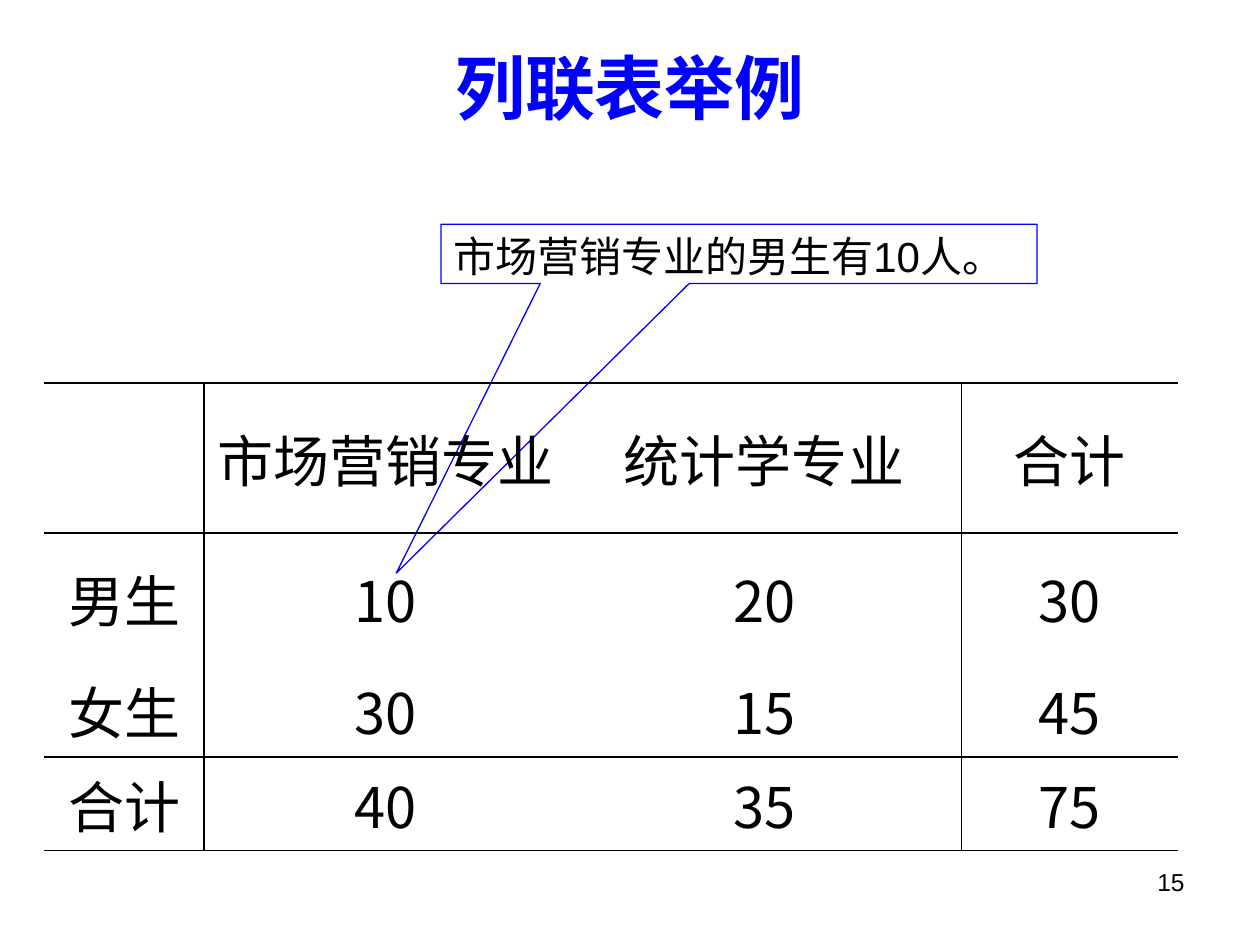
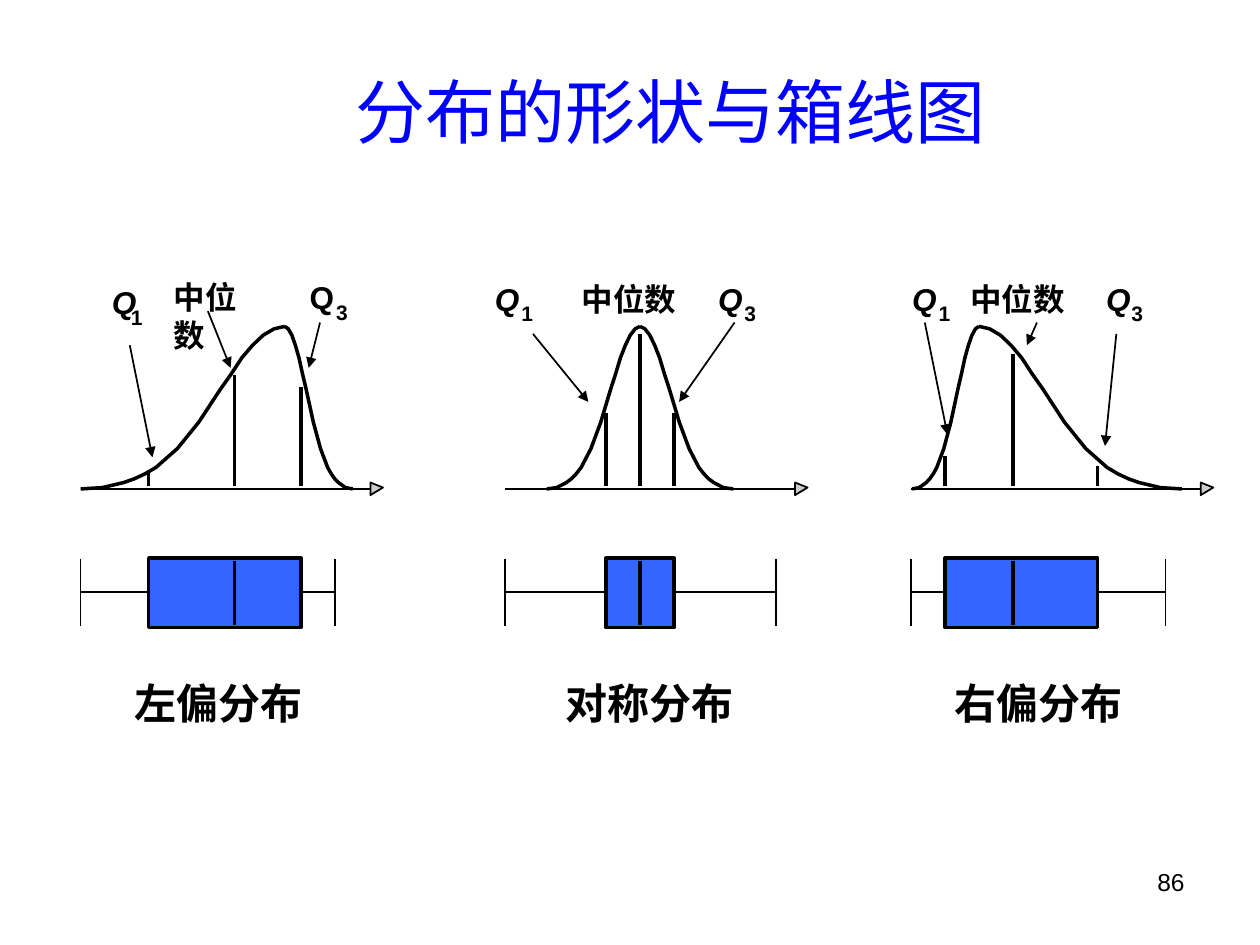
from lxml import etree
from pptx import Presentation
from pptx.dml.color import RGBColor
from pptx.enum.shapes import MSO_CONNECTOR, MSO_SHAPE
from pptx.enum.text import MSO_ANCHOR, PP_ALIGN
from pptx.oxml.ns import qn
from pptx.util import Inches, Pt

LEFT, CENTER, RIGHT = PP_ALIGN.LEFT, PP_ALIGN.CENTER, PP_ALIGN.RIGHT
TOP, MIDDLE = MSO_ANCHOR.TOP, MSO_ANCHOR.MIDDLE
STRAIGHT, CALLOUT = MSO_CONNECTOR.STRAIGHT, MSO_SHAPE.RECTANGULAR_CALLOUT
LATIN, CJK = "Arial", "Noto Sans CJK SC"
BLACK, BLUE, BOX_BLUE, GREY = "000000", "0000FF", "3366FF", "CDCDCD"

CALLOUT_TEXT = "市场营销专业的男生有10人。"
ROWS = [
    ["", "市场营销专业", "统计学专业", "合计"],
    ["男生", "10", "20", "30"],
    ["女生", "30", "15", "45"],
    ["合计", "40", "35", "75"],
]
COL_WIDTHS = [1.27, 2.88, 3.13, 1.72]
ROW_HEIGHTS = [1.19, 1.03, 0.75, 0.74]
RULED_ROWS, RULED_COLS = (0, 1, 3, 4), (1, 3)

MEDIAN = "中位数"
DISTRIBUTIONS = [
    dict(name="左偏分布", name_x=0.97, whiskers=(0.64, 2.66), curve=(0.64, 2.26, 2.8),
         quartiles=[(1.18, 3.75), (1.86, 2.98), (2.39, 3.07)],
         median_at=(1.28, 2.16, 0.92),
         q_labels=[("1", 0.79, 2.2, 0.15, True), ("3", 2.36, 2.16, 0.21, False)],
         arrows=[(1.03, 2.74, 1.21, 3.63), (1.65, 2.47, 1.83, 2.92),
                 (2.54, 2.56, 2.45, 2.92)]),
    dict(name="对称分布", name_x=4.39, whiskers=(4.01, 6.16), curve=(4.34, 5.08, 5.82),
         quartiles=[(4.81, 3.28), (5.08, 2.65), (5.35, 3.28)],
         median_at=(4.52, 2.17, 0.95),
         q_labels=[("1", 3.83, 2.17, 0.21, True), ("3", 5.6, 2.17, 0.21, True)],
         arrows=[(4.23, 2.65, 4.67, 3.19), (5.83, 2.56, 5.39, 3.19)]),
    dict(name="右偏分布", name_x=7.48, whiskers=(7.23, 9.25), curve=(7.24, 7.77, 9.38),
         quartiles=[(7.5, 3.62), (8.04, 2.81), (8.71, 3.7)],
         median_at=(7.6, 2.17, 0.95),
         q_labels=[("1", 7.14, 2.17, 0.21, True), ("3", 8.68, 2.17, 0.2, True)],
         arrows=[(7.34, 2.56, 7.52, 3.45), (8.23, 2.56, 8.15, 2.74),
                 (8.86, 2.65, 8.77, 3.54)]),
]
CURVE_STEPS = [0, 2, 3, 4, 5, 6, 7, 9, 11, 13, 14, 15, 16, 17, 18, 19]
CURVE_Y = [3.88, 3.87, 3.85, 3.83, 3.8, 3.76, 3.71, 3.56,
           3.35, 3.09, 2.97, 2.84, 2.74, 2.66, 2.61, 2.59]
AXIS_Y, AXIS_LENGTH = 3.88, 2.3
BOX_TOP, BOX_BOTTOM, WHISKER_Y = 4.43, 4.98, 4.7


def rgb(value):
    return RGBColor.from_string(value)


def write(tf, text, size, color=BLACK, align=LEFT, bold=False, italic=False, font=LATIN):
    p = tf.paragraphs[0]
    p.text = text
    p.alignment = align
    p.font.size, p.font.name = Pt(size), font
    p.font.bold, p.font.italic = bold, italic
    p.font.color.rgb = rgb(color)
    props = p._p.get_or_add_pPr().find(qn("a:defRPr"))
    etree.SubElement(props, qn("a:ea"), typeface=CJK)


def add_text(shapes, box, text, size, anchor=TOP, wrap=True, **style):
    tf = shapes.add_textbox(*map(Inches, box)).text_frame
    tf.word_wrap, tf.vertical_anchor = wrap, anchor
    write(tf, text, size, **style)


def add_line(shapes, x1, y1, x2, y2, width=1, arrow=False):
    line = shapes.add_connector(STRAIGHT, *map(Inches, (x1, y1, x2, y2)))
    line.line.color.rgb, line.line.width = rgb(BLACK), Pt(width)
    if arrow:
        etree.SubElement(line.line._get_or_add_ln(), qn("a:tailEnd"), type="triangle")
    etree.SubElement(line._element.spPr, qn("a:effectLst"))


def add_outline(shapes, points, width, fill=None):
    first, *rest = [(Inches(x), Inches(y)) for x, y in points]
    builder = shapes.build_freeform(*first)
    builder.add_line_segments(rest, close=fill is not None)
    sp = builder.convert_to_shape()
    sp.shadow.inherit = False
    sp.line.color.rgb, sp.line.width = rgb(BLACK), Pt(width)
    if fill:
        sp.fill.solid()
        sp.fill.fore_color.rgb = rgb(fill)
    else:
        sp.fill.background()


def add_slide(prs, title, title_box, bold, number):
    s = prs.slides.add_slide(prs.slide_layouts[6])
    add_text(s.shapes, (7.17, 6.83, 2.33, 0.52), number, 14, align=RIGHT)
    add_text(s.shapes, title_box, title, 40, anchor=MIDDLE, color=BLUE, align=CENTER, bold=bold)
    return s


def set_borders(cell, ruled):
    tc_pr = cell._tc.get_or_add_tcPr()
    for side, shown in ruled.items():
        ln = etree.SubElement(tc_pr, qn("a:ln" + side), w=str(Pt(1)))
        if shown:
            fill = etree.SubElement(ln, qn("a:solidFill"))
            etree.SubElement(fill, qn("a:srgbClr"), val=BLACK)
        else:
            etree.SubElement(ln, qn("a:noFill"))


def add_callout(shapes):
    sp = shapes.add_shape(CALLOUT, *map(Inches, (3.5, 1.78, 4.73, 0.47)))
    sp.adjustments[0], sp.adjustments[1] = -0.575, 5.39
    sp.shadow.inherit = False
    sp.fill.background()
    sp.line.color.rgb, sp.line.width = rgb(BLUE), Pt(0.75)
    sp.text_frame.word_wrap, sp.text_frame.vertical_anchor = True, TOP
    write(sp.text_frame, CALLOUT_TEXT, 24)


def add_contingency_table(shapes):
    size = (0.35, 3.04, sum(COL_WIDTHS), sum(ROW_HEIGHTS))
    table = shapes.add_table(len(ROWS), len(COL_WIDTHS), *map(Inches, size)).table
    table.first_row = table.horz_banding = False
    for col, width in zip(table.columns, COL_WIDTHS):
        col.width = Inches(width)
    for i, (row, height) in enumerate(zip(ROWS, ROW_HEIGHTS)):
        table.rows[i].height = Inches(height)
        for j, text in enumerate(row):
            cell = table.cell(i, j)
            cell.vertical_anchor = MIDDLE
            set_borders(cell, {"L": j in RULED_COLS, "R": j + 1 in RULED_COLS,
                               "T": i in RULED_ROWS, "B": i + 1 in RULED_ROWS})
            cell.fill.background()
            write(cell.text_frame, text, 32, align=CENTER, font=CJK)


def add_distribution(shapes, d):
    low, high = d["whiskers"]
    (q1, _), (median, _), (q3, _) = d["quartiles"]
    start, peak, end = d["curve"]

    add_text(shapes, (d["name_x"], 5.33, 1.53, 0.5), d["name"], 24,
             wrap=False, align=CENTER, bold=True)
    add_outline(shapes, [(q1, BOX_BOTTOM), (q3, BOX_BOTTOM), (q3, BOX_TOP), (q1, BOX_TOP)],
                2, BOX_BLUE)
    add_line(shapes, median, BOX_TOP + 0.02, median, BOX_BOTTOM - 0.02, 2)
    for tip, side in ((low, q1), (high, q3)):
        add_line(shapes, tip, BOX_TOP + 0.01, tip, BOX_BOTTOM - 0.01)
        add_line(shapes, tip, WHISKER_Y, side, WHISKER_Y)

    for sub, x, y, gap, italic in d["q_labels"]:
        add_text(shapes, (x, y, 0.39, 0.4), "Q", 18, wrap=False, bold=True, italic=italic)
        add_text(shapes, (x + gap, y + 0.17, 0.29, 0.3), sub, 12, wrap=False, bold=True)
    x, y, width = d["median_at"]
    add_text(shapes, (x, y, width, 0.4), MEDIAN, 18, wrap=width < 0.95, bold=True)

    for x, top in d["quartiles"]:
        add_line(shapes, x, top, x, 3.86, 2)
    for foot in (end, start):
        xs = [foot + (peak - foot) * step / CURVE_STEPS[-1] for step in CURVE_STEPS]
        add_outline(shapes, list(zip(xs, CURVE_Y)), 2)
    tip = low + AXIS_LENGTH
    add_line(shapes, low, AXIS_Y, tip, AXIS_Y)
    add_outline(shapes, [(tip, 3.83), (tip + 0.1, 3.87), (tip, 3.93)], 1, GREY)
    for arrow in d["arrows"]:
        add_line(shapes, *arrow, arrow=True)


prs = Presentation()
prs.slide_width, prs.slide_height = Inches(10), Inches(7.5)

s = add_slide(prs, "列联表举例", (0.5, 0.3, 9, 0.77), True, "15")
add_callout(s.shapes)
add_contingency_table(s.shapes)

s = add_slide(prs, "分布的形状与箱线图", (1.61, 0.25, 7.42, 1.25), False, "86")
for d in DISTRIBUTIONS:
    add_distribution(s.shapes.add_group_shape().shapes, d)

prs.save("out.pptx")
